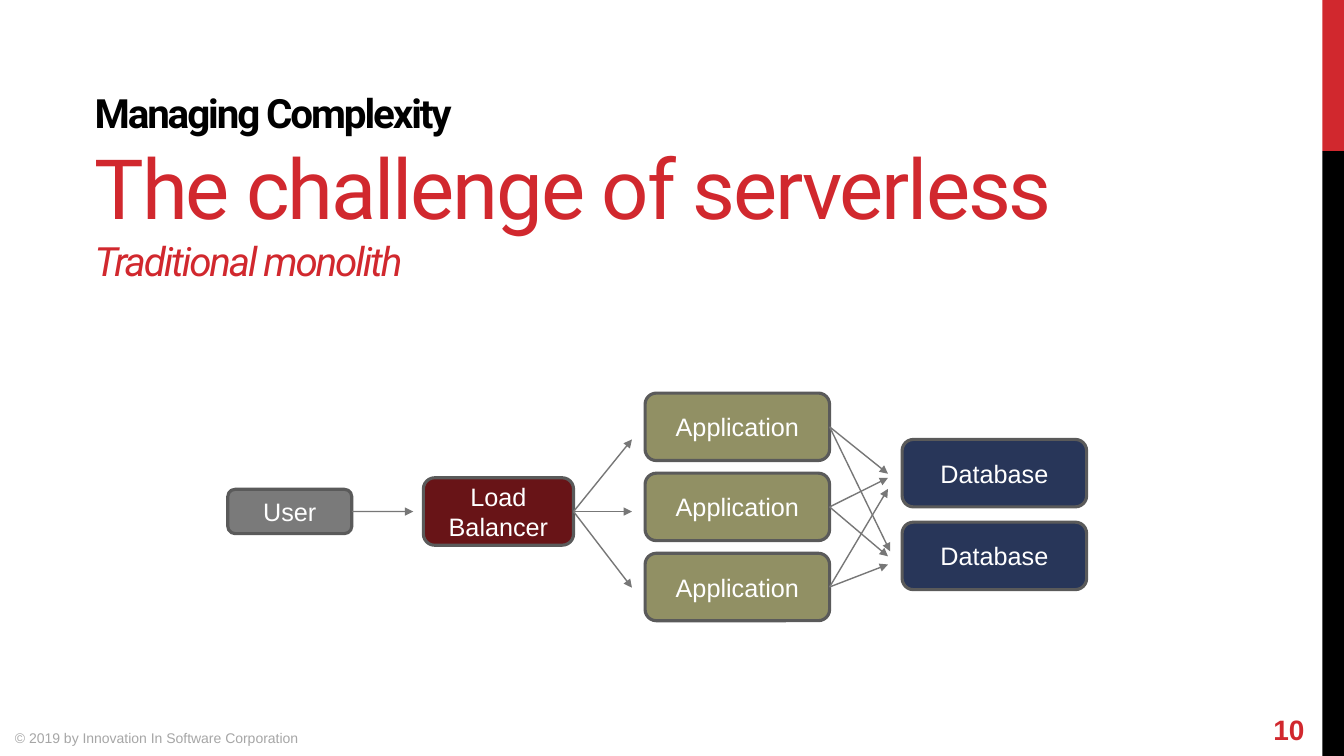
from dataclasses import dataclass

from lxml.etree import SubElement
from pptx import Presentation
from pptx.dml.color import RGBColor
from pptx.enum.shapes import MSO_CONNECTOR, MSO_SHAPE
from pptx.enum.text import MSO_ANCHOR, PP_ALIGN
from pptx.oxml.ns import qn
from pptx.util import Pt


@dataclass(frozen=True)
class Theme:
    red: str = "D1282E"
    black: str = "000000"
    white: str = "FFFFFF"
    footer: str = "A6A6A6"
    user: str = "7A7A7A"
    balancer: str = "681417"
    application: str = "919064"
    database: str = "283659"
    border: str = "5A5A5A"
    arrow: str = "777777"
    body_font: str = "Arial"
    title_font: str = "Roboto"
    title_size: float = 59.4
    subtitle_size: float = 28.8
    number_size: float = 20
    box_size: float = 18
    footer_size: float = 10


THEME = Theme()
RIGHT_SIDE = 3


def color(value):
    return RGBColor.from_string(value)


def style_font(font, name, size, value, bold=False, italic=False):
    font.name, font.size = name, Pt(size)
    font.bold, font.italic = bold, italic
    font.color.rgb = color(value)


def add_bar(slide, top, height, fill):
    bar = slide.shapes.add_shape(
        MSO_SHAPE.RECTANGLE, Pt(944.6), Pt(top), Pt(15.4), Pt(height))
    bar.shadow.inherit = False
    bar.fill.solid()
    bar.fill.fore_color.rgb = color(fill)
    bar.line.fill.background()


def add_text_frame(slide, left, top, width, height, anchor):
    text_box = slide.shapes.add_textbox(Pt(left), Pt(top), Pt(width), Pt(height))
    frame = text_box.text_frame
    frame.word_wrap = True
    frame.vertical_anchor = anchor
    return frame


def add_label(slide, text, bounds, size, value, anchor=MSO_ANCHOR.TOP,
              align=PP_ALIGN.LEFT, bold=False):
    paragraph = add_text_frame(slide, *bounds, anchor).paragraphs[0]
    paragraph.text = text
    paragraph.alignment = align
    style_font(paragraph.font, THEME.body_font, size, value, bold)


def add_title(slide):
    frame = add_text_frame(slide, 60.5, 64.1, 715.7, 142.6, MSO_ANCHOR.BOTTOM)
    paragraph = frame.paragraphs[0]
    lines = [
        ("Managing Complexity", THEME.subtitle_size, THEME.black, True, False),
        ("The challenge of serverless", THEME.title_size, THEME.red, False, False),
        ("Traditional monolith", THEME.subtitle_size, THEME.red, False, True),
    ]
    for index, (text, size, value, bold, italic) in enumerate(lines):
        if index:
            paragraph.add_line_break()
        run = paragraph.add_run()
        run.text = text
        style_font(run.font, THEME.title_font, size, value, bold, italic)
        run.font._element.set("spc", "-150")


def add_box(slide, text, left, top, width, height, fill):
    box = slide.shapes.add_shape(
        MSO_SHAPE.ROUNDED_RECTANGLE, Pt(left), Pt(top), Pt(width), Pt(height))
    box.shadow.inherit = False
    box.fill.solid()
    box.fill.fore_color.rgb = color(fill)
    box.line.color.rgb = color(THEME.border)
    box.line.width = Pt(2.25)
    frame = box.text_frame
    frame.word_wrap = True
    frame.vertical_anchor = MSO_ANCHOR.MIDDLE
    paragraph = frame.paragraphs[0]
    paragraph.text = text
    paragraph.alignment = PP_ALIGN.CENTER
    style_font(paragraph.font, THEME.body_font, THEME.box_size, THEME.white)
    return box


def add_arrow(slide, source, end_x, end_y):
    """Draw an arrow from the right side of source to a point."""
    arrow = slide.shapes.add_connector(
        MSO_CONNECTOR.STRAIGHT, source.left + source.width,
        source.top + source.height // 2, Pt(end_x), Pt(end_y))
    arrow.begin_connect(source, RIGHT_SIDE)
    arrow.line.color.rgb = color(THEME.arrow)
    arrow.line.width = Pt(1)
    SubElement(arrow.line._get_or_add_ln(), qn("a:tailEnd"), type="triangle")
    SubElement(arrow._element.spPr, qn("a:effectLst"))


def add_diagram(slide):
    user = add_box(slide, "User", 162.7, 349.5, 88.6, 31.7, THEME.user)
    balancer = add_box(
        slide, "Load Balancer", 302.4, 341.3, 107.3, 48.2, THEME.balancer)
    applications = [
        add_box(slide, "Application", 460.8, 280.8 + 57.2 * row, 131.8, 48.2,
                THEME.application)
        for row in range(3)]
    for row in range(2):
        add_box(slide, "Database", 644.4, 313.9 + 59.1 * row, 131.8, 48.2,
                THEME.database)

    add_arrow(slide, user, 295.2, 365.4)
    for end_y in (313.9, 365.4, 419.8):
        add_arrow(slide, balancer, 451.4, end_y)
    database_ends = [
        [(634.3, 338.4), (635.8, 393.8)],
        [(634.3, 341.3), (634.3, 397.4)],
        [(634.3, 403.2), (634.3, 349.2)],
    ]
    for application, ends in zip(applications, database_ends):
        for end in ends:
            add_arrow(slide, application, *end)


def main():
    presentation = Presentation()
    presentation.slide_width, presentation.slide_height = Pt(960), Pt(540)
    slide = presentation.slides.add_slide(presentation.slide_layouts[6])
    add_bar(slide, 0, 108, THEME.red)
    add_bar(slide, 108, 432, THEME.black)
    add_label(slide, "10", (835.2, 501.8, 103.7, 38.2), THEME.number_size,
              THEME.red, MSO_ANCHOR.MIDDLE, PP_ALIGN.RIGHT, bold=True)
    add_label(slide, "© 2019 by Innovation In Software Corporation",
              (3.6, 517.7, 360, 22.3), THEME.footer_size, THEME.footer)
    add_title(slide)
    add_diagram(slide)
    presentation.save("out.pptx")


if __name__ == "__main__":
    main()
